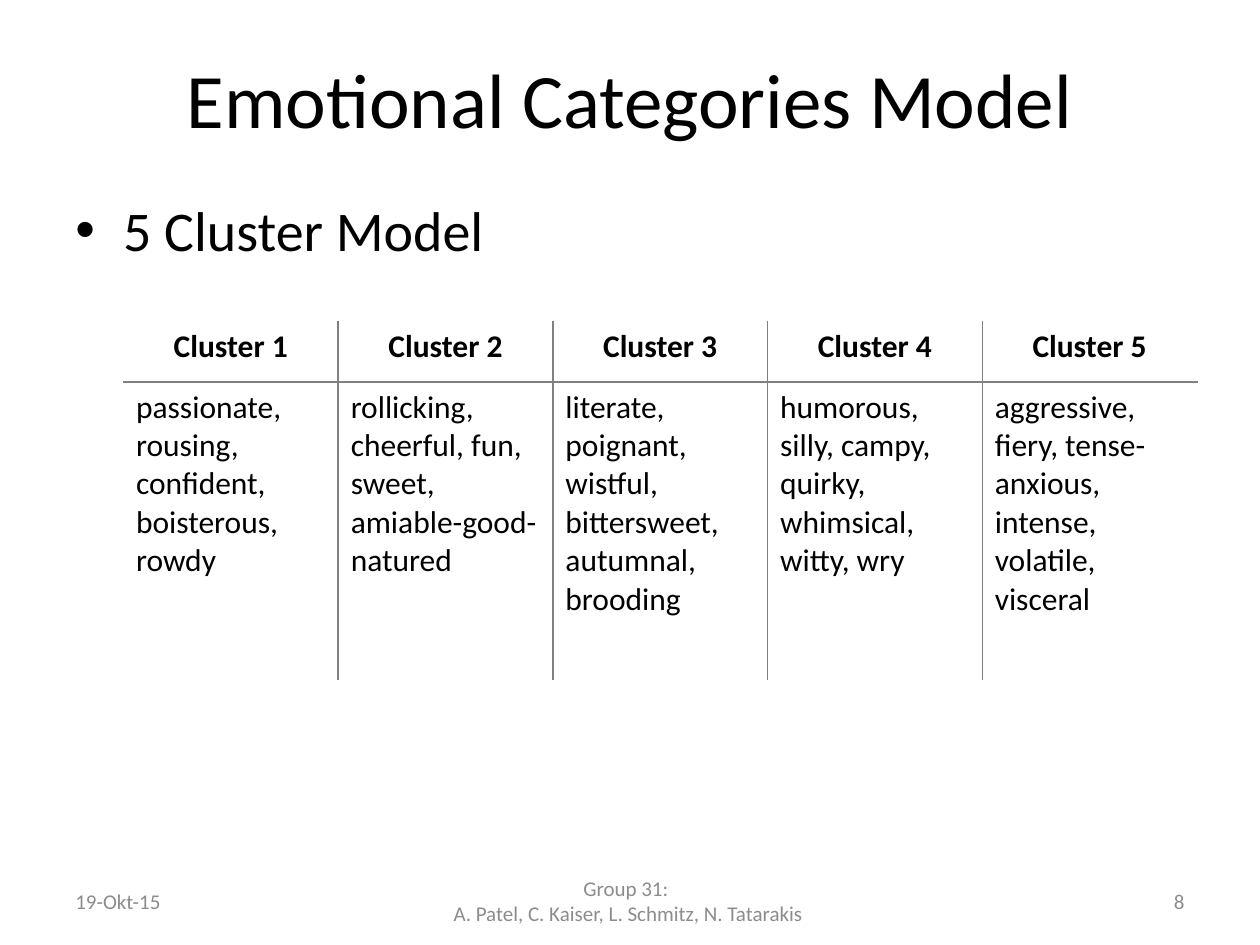
"""Build the emotional categories slide with its five-cluster table."""
from dataclasses import dataclass

from lxml import etree
from pptx import Presentation
from pptx.dml.color import RGBColor
from pptx.enum.text import MSO_ANCHOR, PP_ALIGN
from pptx.oxml.ns import qn
from pptx.util import Inches, Pt

BLACK = RGBColor(0x00, 0x00, 0x00)
FOOTER_GRAY = RGBColor(0x8C, 0x8C, 0x8C)
RULE_GRAY = RGBColor(0x80, 0x80, 0x80)
LEFT, CENTER, RIGHT = PP_ALIGN.LEFT, PP_ALIGN.CENTER, PP_ALIGN.RIGHT
TOP, MIDDLE = MSO_ANCHOR.TOP, MSO_ANCHOR.MIDDLE
TITLE_ONLY = 5
HEADER_ROW = 0

TITLE_FONT = {"name": "Calibri", "size": Pt(44), "bold": False}
BODY_FONT = {"name": "Calibri", "size": Pt(32), "bold": False}
FOOTER_FONT = {"name": "Calibri", "size": Pt(12), "bold": False}
HEADER_FONT = {"name": "Calibri", "size": Pt(18), "bold": True}
CELL_FONT = {"name": "Calibri", "size": Pt(18), "bold": False}


@dataclass(frozen=True)
class Label:
    lines: tuple
    left: float
    top: float
    width: float
    height: float
    font: dict
    color: RGBColor
    align: PP_ALIGN
    anchor: MSO_ANCHOR = MIDDLE


TITLE = Label(("Emotional Categories Model",), 0.5, 0.3, 9, 0.95, TITLE_FONT, BLACK, CENTER)
BODY = Label(("5 Cluster Model",), 0.5, 1.5, 9, 5.2, BODY_FONT, BLACK, LEFT, TOP)
FOOTERS = (
    Label(("19-Okt-15",), 0.5, 6.95, 2.33, 0.4, FOOTER_FONT, FOOTER_GRAY, LEFT),
    Label(("Group 31:  ", "A. Patel, C. Kaiser, L. Schmitz, N. Tatarakis "),
          3.39, 6.95, 3.23, 0.4, FOOTER_FONT, FOOTER_GRAY, CENTER),
    Label(("8",), 7.17, 6.95, 2.33, 0.4, FOOTER_FONT, FOOTER_GRAY, RIGHT),
)
CLUSTERS = (
    "passionate, rousing, confident, boisterous, rowdy",
    "rollicking, cheerful, fun, sweet, amiable-good-natured",
    "literate, poignant, wistful, bittersweet, autumnal, brooding",
    "humorous, silly, campy, quirky, whimsical, witty, wry",
    "aggressive, fiery, tense-anxious, intense, volatile, visceral",
)
ROW_HEIGHTS = (0.48, 2.37)


def write_lines(text_frame, lines: tuple, font: dict, color: RGBColor, align: PP_ALIGN) -> None:
    """Write one formatted paragraph for each line."""
    for index, line in enumerate(lines):
        paragraph = text_frame.add_paragraph() if index else text_frame.paragraphs[0]
        paragraph.alignment = align
        run = paragraph.add_run()
        run.text = line
        run.font.color.rgb = color
        for attribute, value in font.items():
            setattr(run.font, attribute, value)


def fill_label(shape, label: Label) -> None:
    """Place a text shape and write its label."""
    for side in ("left", "top", "width", "height"):
        setattr(shape, side, Inches(getattr(label, side)))
    text_frame = shape.text_frame
    text_frame.word_wrap = True
    text_frame.vertical_anchor = label.anchor
    write_lines(text_frame, label.lines, label.font, label.color, label.align)


def add_label(slide, label: Label):
    """Add a text box holding a label."""
    shape = slide.shapes.add_textbox(0, 0, 0, 0)
    fill_label(shape, label)
    return shape


def add_bullet(paragraph) -> None:
    """Give a paragraph a hanging round bullet."""
    properties = paragraph._p.get_or_add_pPr()
    properties.set("marL", str(Inches(0.38)))
    properties.set("indent", str(Inches(-0.38)))
    etree.SubElement(properties, qn("a:buFont"), typeface="Arial")
    etree.SubElement(properties, qn("a:buChar"), char="•")


def set_borders(cell, sides: list) -> None:
    """Draw thin gray rules on the given sides, listed in schema order."""
    properties = cell._tc.get_or_add_tcPr()
    for index, side in enumerate(sides):
        line = etree.Element(qn(f"a:ln{side}"), w=str(Pt(1)))
        fill = etree.SubElement(line, qn("a:solidFill"))
        etree.SubElement(fill, qn("a:srgbClr"), val=str(RULE_GRAY))
        properties.insert(index, line)


def add_cluster_table(slide) -> None:
    """Add the table with one column for each cluster."""
    count = len(CLUSTERS)
    frame = slide.shapes.add_table(
        len(ROW_HEIGHTS), count, Inches(0.98), Inches(2.55), Inches(8.52), Inches(sum(ROW_HEIGHTS)))
    table = frame.table
    table.first_row = table.horz_banding = False
    for row, height in zip(table.rows, ROW_HEIGHTS):
        row.height = Inches(height)
    for column, words in enumerate(CLUSTERS):
        rows = ((f"Cluster {column + 1}", HEADER_FONT, CENTER), (words, CELL_FONT, LEFT))
        for row, (text, font, align) in enumerate(rows):
            cell = table.cell(row, column)
            cell.fill.background()
            write_lines(cell.text_frame, (text,), font, BLACK, align)
            rules = {"L": column > 0, "R": column < count - 1,
                     "T": row != HEADER_ROW, "B": row == HEADER_ROW}
            set_borders(cell, [side for side, shown in rules.items() if shown])


def main() -> None:
    """Build and save the presentation."""
    presentation = Presentation()
    presentation.slide_width = Inches(10)
    presentation.slide_height = Inches(7.5)
    slide = presentation.slides.add_slide(presentation.slide_layouts[TITLE_ONLY])
    fill_label(slide.shapes.title, TITLE)
    body = add_label(slide, BODY)
    add_bullet(body.text_frame.paragraphs[0])
    for footer in FOOTERS:
        add_label(slide, footer)
    add_cluster_table(slide)
    presentation.save("out.pptx")


if __name__ == "__main__":
    main()
